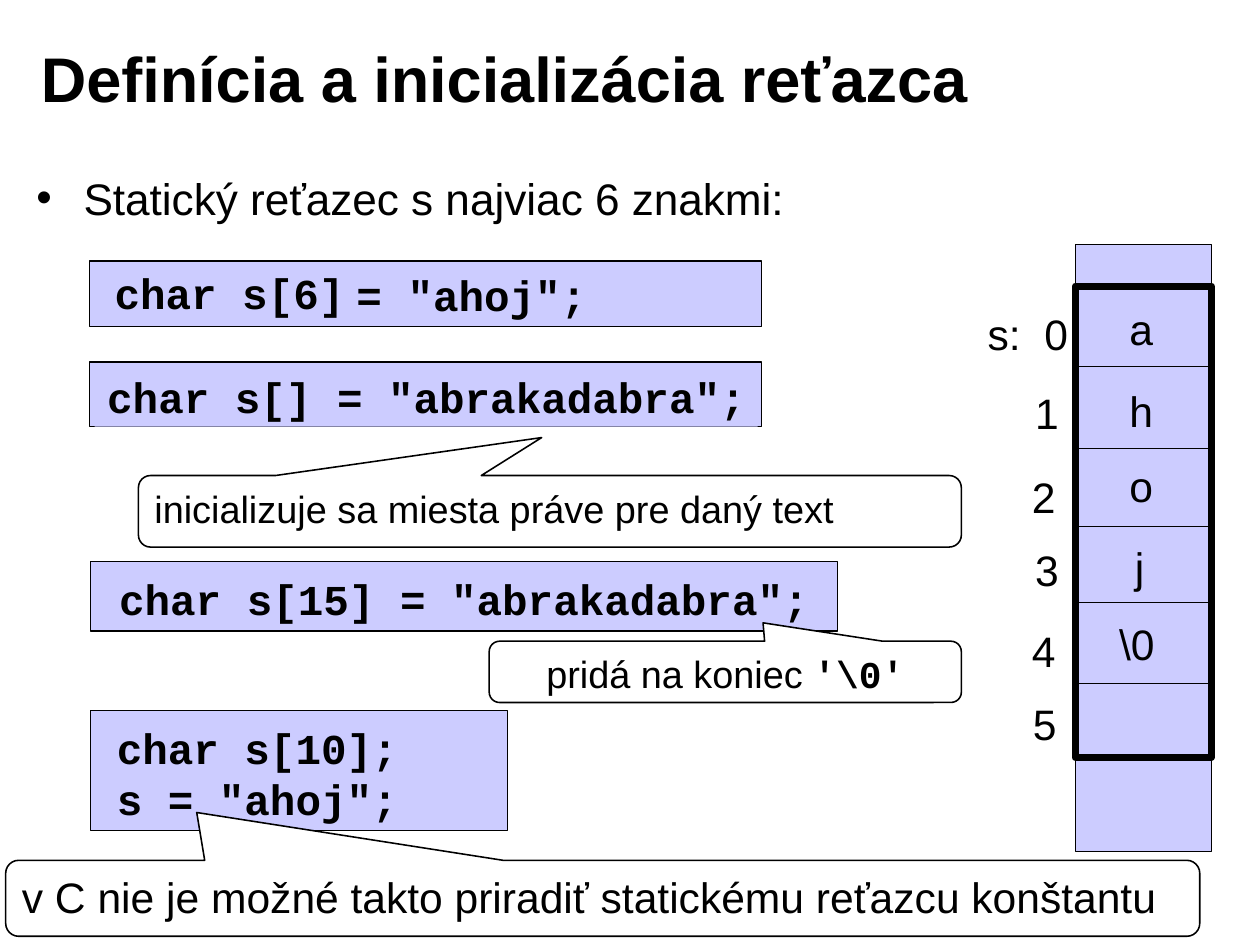
from pptx import Presentation
from pptx.dml.color import RGBColor
from pptx.enum.shapes import MSO_CONNECTOR, MSO_SHAPE
from pptx.enum.text import MSO_ANCHOR, MSO_AUTO_SIZE, PP_ALIGN
from pptx.oxml.ns import qn
from pptx.util import Pt
from lxml.etree import SubElement

COLORS = {"text": "000000", "line": "000000", "panel": "CCCCFF", "callout": "FFFFFF"}
FRAME_FORMAT = {
    "margin_left": Pt(7.9), "margin_right": Pt(7.9),
    "margin_top": Pt(4.3), "margin_bottom": Pt(4.3),
    "auto_size": MSO_AUTO_SIZE.NONE, "vertical_anchor": MSO_ANCHOR.TOP,
}
TITLE = {"name": "Arial", "size": Pt(40), "bold": True}
BULLET = {"name": "Arial", "size": Pt(28), "bold": False}
LABEL = {"name": "Arial", "size": Pt(27), "bold": False}
NOTE = {"name": "Arial", "size": Pt(24), "bold": False}
CODE = {"name": "Courier New", "size": Pt(27), "bold": True}
NOTE_CODE = {"name": "Courier New", "size": Pt(24), "bold": True}

MEMORY_LEFT, MEMORY_WIDTH = 682, 86.4
CELL_LINES = [232.6, 284.4, 334.1, 382.3, 433.4]
# text, left, top, width
CELL_TEXTS = [("a", 708.5, 188, 59.8), ("h", 708.5, 239.8, 59.8),
              ("o", 708.5, 287.3, 59.8), ("j", 712, 339, 59.8),
              ("\\0", 702, 387.4, 59.8)]
INDEX_TEXTS = [("s:\t0", 618.5, 190.8, 73.4), ("1", 648.7, 241.2, 33.1),
               ("2", 646.6, 294.5, 33.1), ("3", 648.7, 340.6, 33.1),
               ("4", 646.6, 392.4, 33.1), ("5", 647.3, 438.5, 33.1)]
CODE_PANELS = [(57, 165.6, 426.2, 41.8), (57, 229.7, 426.2, 41),
               (57.6, 356.4, 473.8, 43.9), (57.6, 450.7, 264.2, 76.3)]
# lines, left, top, width, height, fill
CODE_TEXTS = [
    (["char s[6];"], 64.8, 164.9, 177.8, 40.3, None),
    (["= \"ahoj\";"], 218.2, 166.3, 162, 40.3, "panel"),
    (["char s[] = \"abrakadabra\";"], 60.1, 231.1, 420.4, 39.6, "panel"),
    (["char s[15] = \"abrakadabra\";"], 67.7, 359.3, 453.6, 40.3, "panel"),
    (["char s[10];", "s = \"ahoj\";"], 66.2, 453.6, 194.4, 72.7, None),
]
# text runs, left, top, width, height, pointer, alignment
CALLOUTS = [
    ([("inicializuje sa miesta práve pre daný text", NOTE)],
     87.8, 301.7, 522, 45.4, (-0.01, -1.03), PP_ALIGN.LEFT),
    ([("pridá na koniec ", NOTE), ("'\\0'", NOTE_CODE)],
     310.3, 406.8, 299.5, 38.9, (0.08, -0.8), PP_ALIGN.CENTER),
    ([("v C nie je možné takto priradiť statickému reťazcu konštantu", LABEL)],
     3.6, 545.8, 757.4, 48.2, (-0.34, -1.13), PP_ALIGN.LEFT),
]


def apply(target, values):
    for name, value in values.items():
        setattr(target, name, value)


def color(name):
    return RGBColor.from_string(COLORS[name])


def points(*values):
    return [Pt(value) for value in values]


def paint(shape, fill, line_width=None):
    if fill:
        shape.fill.solid()
        shape.fill.fore_color.rgb = color(fill)
    else:
        shape.fill.background()
    if line_width:
        shape.line.color.rgb = color("line")
        shape.line.width = Pt(line_width)


def add_runs(para, runs, alignment=PP_ALIGN.LEFT):
    para.alignment = alignment
    for text, font in runs:
        span = para.add_run()
        span.text = text
        apply(span.font, font)
        span.font.color.rgb = color("text")


def write(box, paragraphs, alignment=PP_ALIGN.LEFT, wrap=True):
    """Fill a shape with paragraphs, each given as (text, font) runs."""
    frame = box.text_frame
    apply(frame, FRAME_FORMAT)
    frame.word_wrap = wrap
    for number, runs in enumerate(paragraphs):
        para = frame.add_paragraph() if number else frame.paragraphs[0]
        add_runs(para, runs, alignment)


def add_panel(page, bounds, fill="panel", line_width=0.75):
    panel = page.shapes.add_shape(MSO_SHAPE.RECTANGLE, *points(*bounds))
    panel.shadow.inherit = False
    paint(panel, fill, line_width)


def add_label(page, text, left, top, width):
    box = page.shapes.add_textbox(*points(left, top, width, 40.3))
    if "\t" in text:
        properties = box.text_frame.paragraphs[0]._p.get_or_add_pPr()
        tab = SubElement(SubElement(properties, qn("a:tabLst")), qn("a:tab"))
        tab.set("pos", str(Pt(36)))
        tab.set("algn", "l")
    write(box, [[(text, LABEL)]])


def add_code(page, lines, left, top, width, height, fill):
    box = page.shapes.add_textbox(*points(left, top, width, height))
    paint(box, fill)
    write(box, [[(line, CODE)] for line in lines], wrap=False)


def add_callout(page, runs, left, top, width, height, pointer, alignment):
    callout = page.shapes.add_shape(
        MSO_SHAPE.ROUNDED_RECTANGULAR_CALLOUT, *points(left, top, width, height))
    callout.shadow.inherit = False
    callout.adjustments[0], callout.adjustments[1] = pointer
    callout.adjustments[2] = 0.17
    paint(callout, "callout", 1)
    write(callout, [runs], alignment)


def add_cell_line(page, y):
    ends = points(MEMORY_LEFT, y, MEMORY_LEFT + MEMORY_WIDTH, y)
    line = page.shapes.add_connector(MSO_CONNECTOR.STRAIGHT, *ends)
    line.line.color.rgb = color("line")
    line.line.width = Pt(0.75)
    SubElement(line._element.spPr, qn("a:effectLst"))


def fill_placeholder(box, bounds, text, font, anchor):
    box.left, box.top, box.width, box.height = points(*bounds)
    write(box, [[(text, font)]])
    box.text_frame.vertical_anchor = anchor


def add_heading(page):
    title, body = page.placeholders
    fill_placeholder(title, (18, 12.2, 641.5, 73.4),
                     "Definícia a inicializácia reťazca", TITLE, MSO_ANCHOR.MIDDLE)
    fill_placeholder(body, (15.1, 104.2, 600.5, 57),
                     "Statický reťazec s najviac 6 znakmi:", BULLET, MSO_ANCHOR.TOP)
    para = body.text_frame.paragraphs[0]
    para.space_before = Pt(0)
    properties = para._p.get_or_add_pPr()
    properties.set("marL", str(Pt(30)))
    properties.set("indent", str(Pt(-30)))
    SubElement(properties, qn("a:buChar")).set("char", "•")


def add_memory(page):
    add_panel(page, (MEMORY_LEFT, 155, MEMORY_WIDTH, 385.2))
    for y in CELL_LINES:
        add_cell_line(page, y)
    add_panel(page, (MEMORY_LEFT, 181.5, MEMORY_WIDTH, 299), None, 4.5)
    for label in CELL_TEXTS + INDEX_TEXTS:
        add_label(page, *label)


def main():
    deck = Presentation()
    deck.slide_width, deck.slide_height = points(799.2, 597.6)
    page = deck.slides.add_slide(deck.slide_layouts[1])
    add_heading(page)
    add_memory(page)
    for bounds in CODE_PANELS:
        add_panel(page, bounds)
    for code in CODE_TEXTS:
        add_code(page, *code)
    for callout in CALLOUTS:
        add_callout(page, *callout)
    deck.save("out.pptx")


if __name__ == "__main__":
    main()
